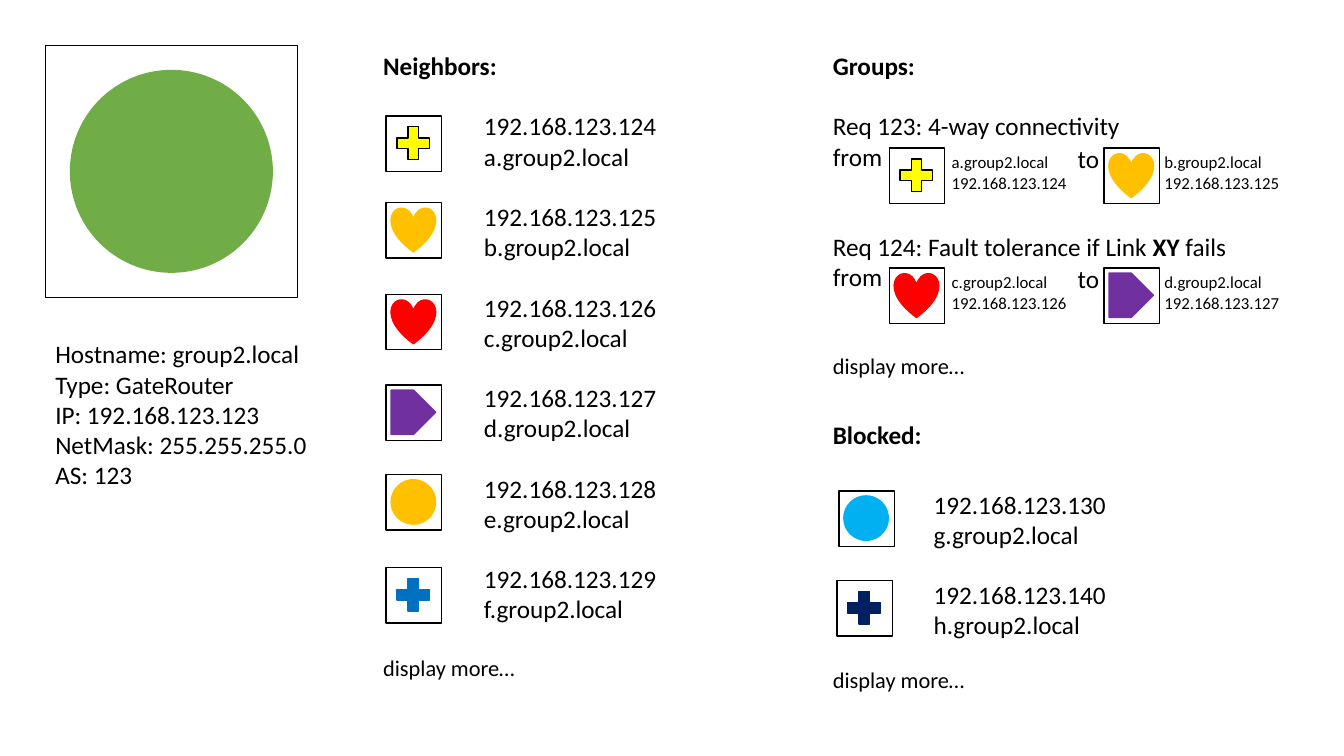
from pptx import Presentation
from pptx.dml.color import RGBColor
from pptx.enum.shapes import MSO_SHAPE
from pptx.enum.text import MSO_ANCHOR, MSO_AUTO_SIZE, PP_ALIGN
from pptx.oxml.ns import qn
from pptx.util import Inches, Pt
from lxml.etree import SubElement

BLACK = RGBColor(0x00, 0x00, 0x00)
WHITE = RGBColor(0xFF, 0xFF, 0xFF)
GREEN = RGBColor(0x70, 0xAD, 0x47)
YELLOW = RGBColor(0xFF, 0xFF, 0x00)
AMBER = RGBColor(0xFF, 0xC0, 0x00)
RED = RGBColor(0xFF, 0x00, 0x00)
PURPLE = RGBColor(0x70, 0x30, 0xA0)
BLUE = RGBColor(0x00, 0x70, 0xC0)
SKY = RGBColor(0x00, 0xB0, 0xF0)
NAVY = RGBColor(0x00, 0x20, 0x60)

# Host letter: last number of the address, symbol, fill, outline
HOSTS = {
    "a": (124, MSO_SHAPE.MATH_PLUS, YELLOW, BLACK),
    "b": (125, MSO_SHAPE.HEART, AMBER, AMBER),
    "c": (126, MSO_SHAPE.HEART, RED, RED),
    "d": (127, MSO_SHAPE.PENTAGON, PURPLE, PURPLE),
    "e": (128, MSO_SHAPE.OVAL, AMBER, AMBER),
    "f": (129, MSO_SHAPE.MATH_PLUS, BLUE, BLUE),
    "g": (130, MSO_SHAPE.OVAL, SKY, SKY),
    "h": (140, MSO_SHAPE.MATH_PLUS, NAVY, NAVY),
}


def name(host):
    return f"{host}.group2.local"


def addr(host):
    return f"192.168.123.{HOSTS[host][0]}"


class Panel:
    """Style and current slide."""

    font = "Calibri"
    size, small, more = 18, 12, 16
    gap, wide = 21.5, 28.5
    tile, inset = 0.55, 0.05

    def __init__(self, slide):
        self.slide = slide

    def shape(self, kind, left, top, side, fill, line):
        item = self.slide.shapes.add_shape(
            kind, Inches(left), Inches(top), Inches(side), Inches(side))
        item.shadow.inherit = False
        item.fill.solid()
        item.fill.fore_color.rgb = fill
        item.line.color.rgb = line
        item.line.width = Pt(1)

    def icon(self, host, left, top):
        kind, fill, line = HOSTS[host][1:]
        self.shape(MSO_SHAPE.RECTANGLE, left, top, self.tile, WHITE, BLACK)
        self.shape(kind, left + self.inset, top + self.inset, 0.44, fill, line)

    def place(self, item, left, top, width, height):
        item.left, item.top = Inches(left), Inches(top)
        item.width, item.height = Inches(width), Inches(height)
        frame = item.text_frame
        frame.word_wrap = True
        frame.auto_size = MSO_AUTO_SIZE.NONE
        frame.vertical_anchor = MSO_ANCHOR.TOP
        return frame

    def box(self, lines, left, top, width, height, size):
        item = self.slide.shapes.add_textbox(0, 0, 0, 0)
        frame = self.place(item, left, top, width, height)
        for text in lines:
            self.line(frame, text, size=size)

    def style(self, run, size, bold):
        run.font.name = self.font
        run.font.size = Pt(size)
        run.font.bold = bold
        run.font.color.rgb = BLACK

    def line(self, frame, *parts, gap=0, indent=0, size=None, bold=False):
        """Add a line; each part is a text or a (text, bold) tuple."""
        para = frame.paragraphs[0]
        if para.runs:
            para = frame.add_paragraph()
        para.alignment = PP_ALIGN.LEFT
        para.space_before, para.space_after = Pt(gap), Pt(0)
        props = para._p.get_or_add_pPr()
        props.set("marL", str(Inches(indent)))
        props.set("indent", "0")
        SubElement(props, qn("a:buNone"))
        for part in parts:
            text, heavy = (part, bold) if isinstance(part, str) else part
            run = para.add_run()
            run.text = text
            self.style(run, size or self.size, heavy)

    def hosts(self, frame, letters, gap):
        for pos, host in enumerate(letters):
            self.line(frame, addr(host), gap=self.gap if pos else gap,
                      indent=1)
            self.line(frame, name(host), indent=1)

    def label(self, host, left, top):
        self.box([name(host), addr(host)], left, top, 1.5, 0.51, self.small)

    def route(self, start, end, top):
        """Put both ends of a group beside the word from."""
        self.icon(start, 8.82, top)
        self.label(start, 9.34, top - 0.01)
        self.box(["to"], 10.59, top - 0.1, 0.5, 0.4, self.size)
        self.icon(end, 10.95, top)
        self.label(end, 11.45, top - 0.01)


def main():
    deck = Presentation()
    deck.slide_width, deck.slide_height = Inches(13.33), Inches(7.5)
    slide = deck.slides.add_slide(deck.slide_layouts[3])
    title = slide.shapes.title.element
    title.getparent().remove(title)
    panel = Panel(slide)

    # Current device
    panel.shape(MSO_SHAPE.RECTANGLE, 0.45, 0.45, 2.5, WHITE, BLACK)
    panel.shape(MSO_SHAPE.OVAL, 0.7, 0.7, 2, GREEN, GREEN)
    panel.box(["Hostname: group2.local", "Type: GateRouter",
               "IP: 192.168.123.123", "NetMask: 255.255.255.0", "AS: 123"],
              0.45, 3.31, 2.7, 2.22, panel.size)

    # Neighbors
    near = panel.place(slide.placeholders[1], 3.7, 0.45, 4.41, 7)
    panel.line(near, "Neighbors:", bold=True)
    panel.hosts(near, "abcdef", panel.gap)
    panel.line(near, "display more…", gap=panel.gap, size=panel.more)
    for host, top in zip("abcdef", (1.15, 2.01, 2.92, 3.82, 4.71, 5.63)):
        panel.icon(host, 3.83, top)

    # Groups, with room under each "from" for the addresses
    room = panel.wide + 14.5
    side = panel.place(slide.placeholders[2], 8.16, 0.45, 4.91, 7)
    panel.line(side, "Groups:", bold=True)
    panel.line(side, "Req 123: 4-way connectivity", gap=panel.gap)
    panel.line(side, "from")
    panel.line(side, "Req 124: Fault tolerance if Link ", ("XY", True),
               " fails", gap=room)
    panel.line(side, "from")
    panel.line(side, "display more…", gap=room, size=panel.more)
    panel.route("a", "b", 1.47)
    panel.route("c", "d", 2.66)

    # Blocked hosts
    panel.line(side, "Blocked:", gap=panel.wide, bold=True)
    panel.hosts(side, "gh", panel.wide)
    panel.line(side, "display more…", gap=19, size=panel.more)
    panel.icon("g", 8.32, 4.87)
    panel.icon("h", 8.3, 5.76)

    deck.save("out.pptx")


if __name__ == "__main__":
    main()
